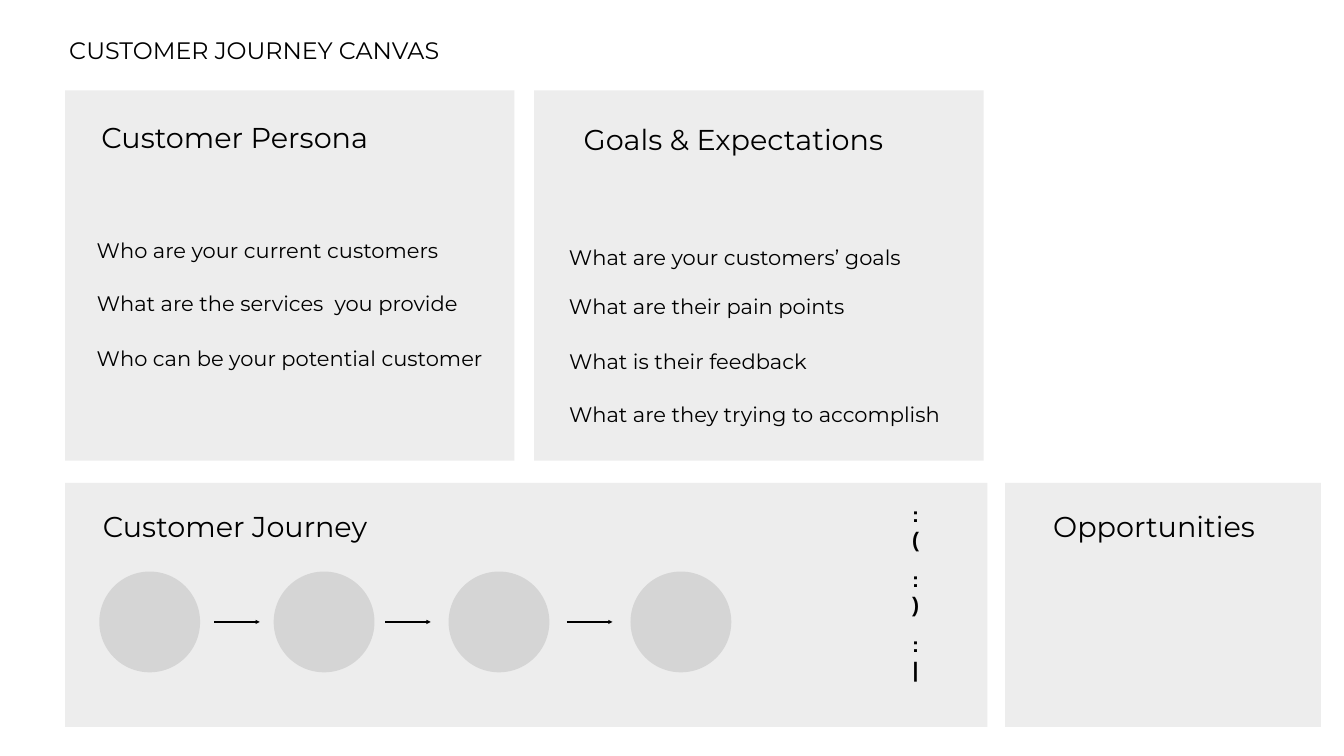
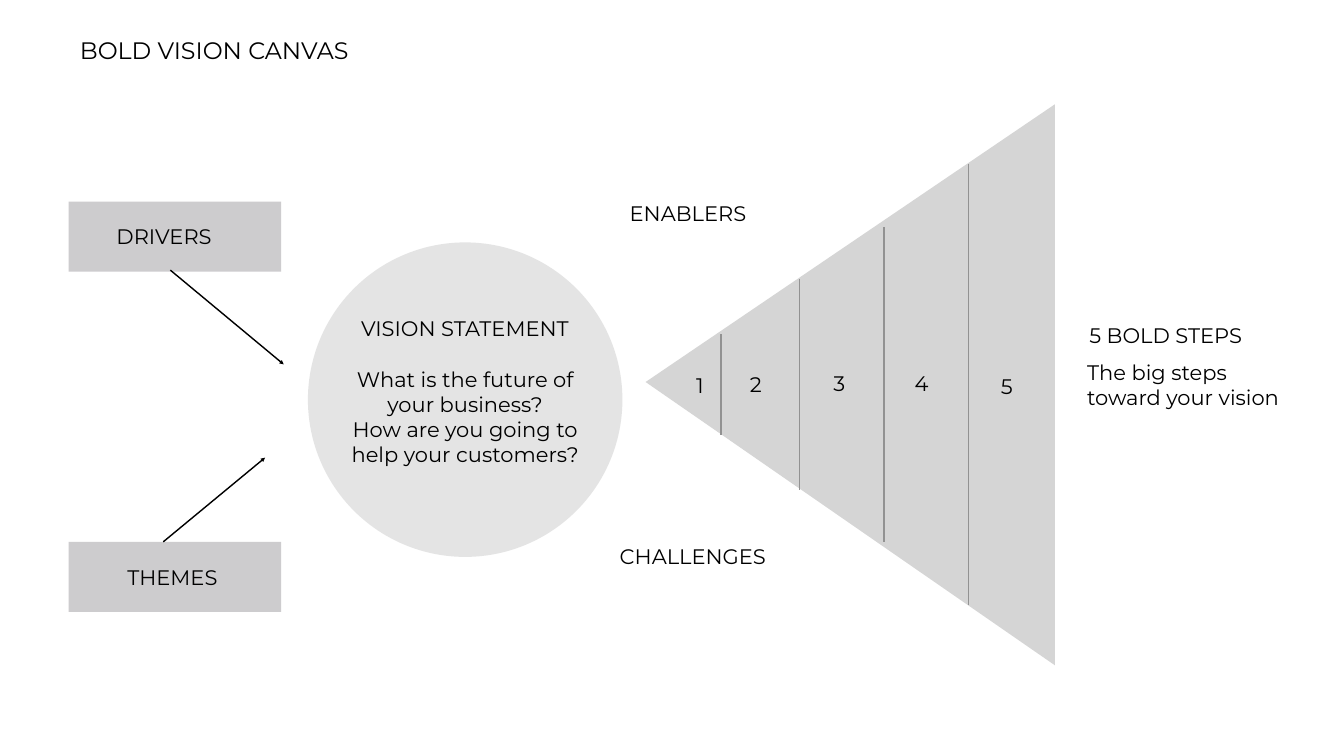
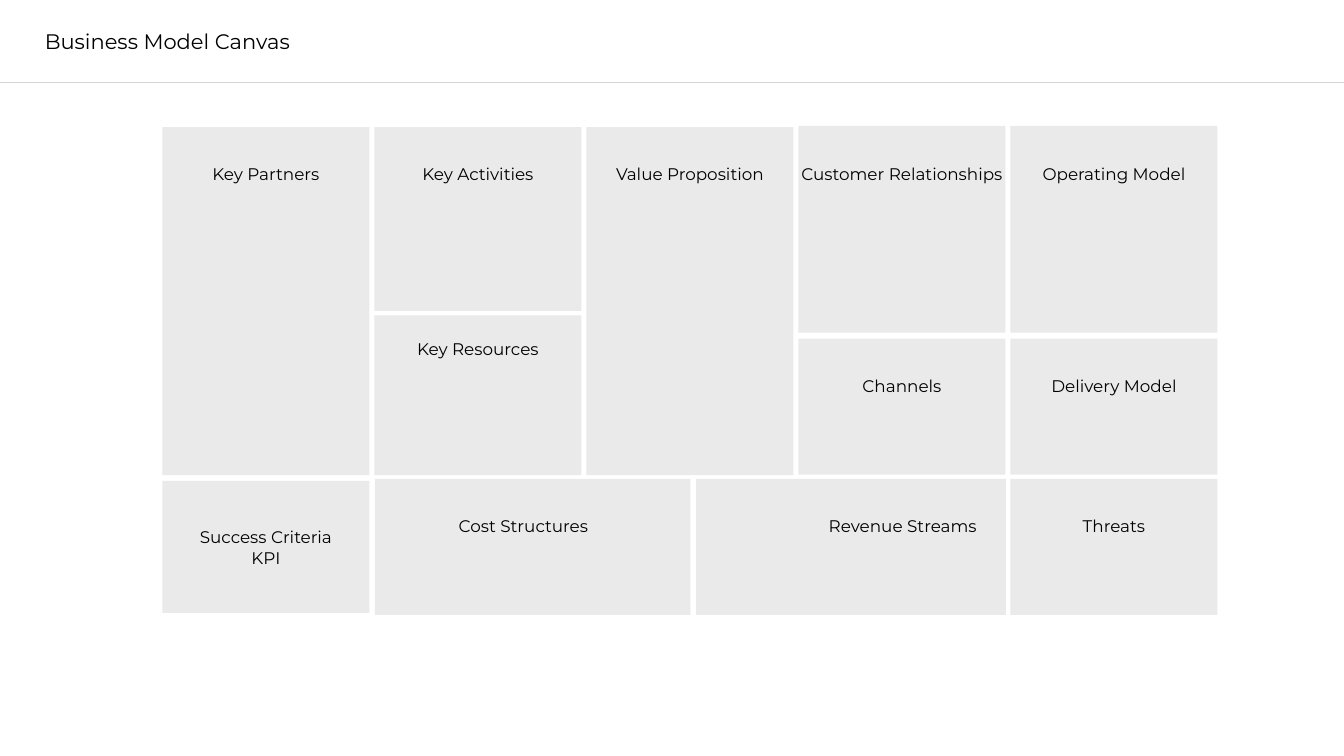
"""Build three business canvases: customer journey, bold vision and business model."""
from dataclasses import dataclass

from lxml.etree import SubElement as Child
from pptx import Presentation
from pptx.dml.color import RGBColor as Color
from pptx.enum.shapes import MSO_CONNECTOR as Link, MSO_SHAPE as Form
from pptx.enum.text import MSO_ANCHOR as Anchor, PP_ALIGN as Align
from pptx.oxml.ns import qn
from pptx.util import Inches, Pt


@dataclass(frozen=True)
class Theme:
    font: str = "Montserrat"
    symbol_font: str = "Arial"
    ink: str = "000000"
    grey: str = "D5D5D5"
    label_grey: str = "C7C6C8"
    divider: str = "929292"
    title: int = 34
    heading: int = 41
    body: int = 30
    card: int = 24
    stroke: int = 2
    inset: float = 0.36
    line_height: float = 1.22 / 12


theme = Theme()
deck = Presentation()
deck.slide_width, deck.slide_height = Inches(26.67), Inches(15)
column, row = deck.slide_width / 160, deck.slide_height / 90
journey, vision, model = [deck.slides.add_slide(deck.slide_layouts[6]) for _ in range(3)]


def write(page, text, left, top, width, size=theme.body, align=Align.CENTER,
          lines=1, wrap=False, font=theme.font, bold=False):
    height = lines * size * theme.line_height + 2 * theme.inset
    box = page.shapes.add_textbox(int(left * column), int(top * row),
                                  int(width * column), int(height * row))
    frame = box.text_frame
    frame.word_wrap = wrap
    frame.vertical_anchor = Anchor.MIDDLE
    frame.margin_left = frame.margin_right = int(theme.inset * column)
    frame.margin_top = frame.margin_bottom = int(theme.inset * row)
    frame.text = text
    for para in frame.paragraphs:
        para.alignment = align
        para.font.name, para.font.size, para.font.bold = font, Pt(size), bold
        para.font.color.rgb = Color.from_string(theme.ink)


def paint(shape, colour=theme.grey, opacity=100):
    shape.shadow.inherit = False
    shape.line.fill.background()
    shape.fill.solid()
    shape.fill.fore_color.rgb = Color.from_string(colour)
    if opacity < 100:
        tint = shape.fill._xPr.find(qn("a:solidFill"))[0]
        Child(tint, qn("a:alpha"), val=str(opacity * 1000))


top_row, bottom_row = (10.75, 44.1), (57.5, 29.05)
panels = [(7.75, 53.5, top_row), (63.6, 53.5, top_row),
          (7.75, 109.8, bottom_row), (119.65, 37.6, bottom_row)]
circles = [(left, 68.04, 12, 12, Form.OVAL, theme.grey, 100)
           for left in (11.82, 32.58, 53.4, 75.06)]
journey_forms = [(left, top, width, height, Form.RECTANGLE, theme.grey, 42)
                 for left, width, (top, height) in panels] + circles
vision_forms = [(36.66, 28.86, 37.44, 37.44, Form.OVAL, theme.grey, 63)]
vision_forms += [(8.16, top, 25.32, 8.34, Form.RECTANGLE, theme.label_grey, 89)
                 for top in (24, 64.5)]

first, pitch, card_width = 19.32, 25.24, 24.66
cards = [
    ("Key Partners", 0, 15.12, 41.46, 19.06, 13.5),
    ("Key Activities", 1, 15.12, 21.9, 19.06, 13.98),
    ("Key Resources", 1, 37.56, 19.02, 39.9, 15.24),
    ("Value Proposition", 2, 15.12, 41.46, 19.06, 18.36),
    ("Customer Relationships", 3, 15, 24.6, 19.06, 24.72),
    ("Channels", 3, 40.32, 16.2, 44.34, 10.14),
    ("Operating Model", 4, 15, 24.6, 19.06, 17.82),
    ("Delivery Model", 4, 40.32, 16.2, 44.34, 15.66),
    ("Success Criteria\nKPI", 0, 57.24, 15.72, 62.34, 16.98),
    ("Threats", 4, 57, 16.2, 61.02, 8.16),
]
model_forms = [(first + index * pitch, top, card_width, height, Form.RECTANGLE, theme.grey, 49)
               for _, index, top, height, _, _ in cards]
model_forms += [(left, 57, width, 16.2, Form.RECTANGLE, theme.grey, 49)
                for left, width in ((44.64, 37.56), (82.86, 36.9))]

for page, forms in ((journey, journey_forms), (vision, vision_forms), (model, model_forms)):
    for left, top, width, height, form, colour, opacity in forms:
        paint(page.shapes.add_shape(form, int(left * column), int(top * row),
                                    int(width * column), int(height * row)), colour, opacity)

corners = [(int(x * column), int(y * row))
           for x, y in ((76.86, 45.48), (125.58, 12.42), (125.58, 79.2))]
wedge = vision.shapes.build_freeform(*corners[0])
wedge.add_line_segments(corners[1:], close=True)
paint(wedge.convert_to_shape())

lines = [(journey, (start, 74.04), (start + 5.43, 74.04), theme.ink, True)
         for start in (25.5, 45.84, 67.5)]
lines += [(vision, (20.28, 32.16), (33.78, 43.38), theme.ink, True),
          (vision, (19.44, 64.5), (31.56, 54.48), theme.ink, True)]
lines += [(vision, (x, 45.78 + half), (x, 45.78 - half), theme.divider, False)
          for x, half in ((85.86, 5.97), (95.16, 12.54), (105.24, 18.72), (115.32, 26.28))]
lines += [(model, (0, 9.84), (160, 9.84), theme.grey, False)]
for page, start, end, colour, arrow in lines:
    link = page.shapes.add_connector(Link.STRAIGHT, int(start[0] * column), int(start[1] * row),
                                     int(end[0] * column), int(end[1] * row))
    link.line.width = Pt(theme.stroke)
    link.line.color.rgb = Color.from_string(colour)
    if arrow:
        Child(link.line._get_or_add_ln(), qn("a:tailEnd"), type="triangle")
    Child(link._element.spPr, qn("a:effectLst"))

write(journey, "CUSTOMER JOURNEY CANVAS", 7.26, 3.9, 46.02, theme.title)
write(vision, "BOLD VISION CANVAS", 8.58, 3.9, 33.84, theme.title)
write(model, "Business Model Canvas", 4.26, 3, 31.32)

for text, left, top, width in (
        ("Customer Persona", 11.28, 13.86, 33.36),
        ("Goals & Expectations", 68.52, 14.1, 37.62),
        ("Customer Journey", 11.4, 60.18, 33.18),
        ("Opportunities", 124.68, 60.18, 25.44)):
    write(journey, text, left, top, width, theme.heading)

for text, left, top, width in (
        ("Who are your current customers", 11.16, 27.84, 41.4),
        ("What are the services  you provide", 11.16, 34.26, 43.74),
        ("Who can be your potential customer", 11.16, 40.74, 46.68),
        ("What are your customers’ goals", 67.38, 28.68, 40.26),
        ("What are their pain points", 67.38, 34.5, 33.6),
        ("What is their feedback", 67.38, 41.16, 29.04),
        ("What are they trying to accomplish", 67.38, 47.4, 44.94)):
    write(journey, text, left, top, width, align=Align.LEFT)

for index, face in enumerate((":(", ":)", ":|")):
    write(journey, face, 107.94, 60.78 + index * 7.74, 2.1,
          wrap=True, font=theme.symbol_font, bold=True)

for text, left, top, width in (
        ("DRIVERS", 13.44, 26.28, 12.18),
        ("THEMES", 14.76, 66.78, 11.52),
        ("VISION STATEMENT", 42.18, 37.14, 26.34),
        ("5 BOLD STEPS", 129.06, 38.04, 19.44),
        ("ENABLERS", 74.46, 23.46, 14.88),
        ("CHALLENGES", 73.26, 64.38, 18.42),
        ("1", 82.44, 43.92, 1.74),
        ("2", 88.86, 43.8, 2.22),
        ("3", 98.82, 43.68, 2.22),
        ("4", 108.48, 43.68, 2.46),
        ("5", 118.74, 44.1, 2.22)):
    write(vision, text, left, top, width)
write(vision, "What is the future of your business?\nHow are you going to help your customers?",
      39.24, 43.14, 32.28, lines=4, wrap=True)
write(vision, "The big steps toward your vision", 129.06, 42.36, 25.86,
      align=Align.LEFT, lines=2, wrap=True)

for text, index, _, _, top, width in cards:
    left = first + index * pitch + (card_width - width) / 2
    write(model, text, left, top, width, theme.card, lines=text.count("\n") + 1)
write(model, "Cost Structures", 54.24, 61.02, 16.14, theme.card)
write(model, "Revenue Streams", 98.28, 61.02, 18.36, theme.card)

deck.save("out.pptx")
